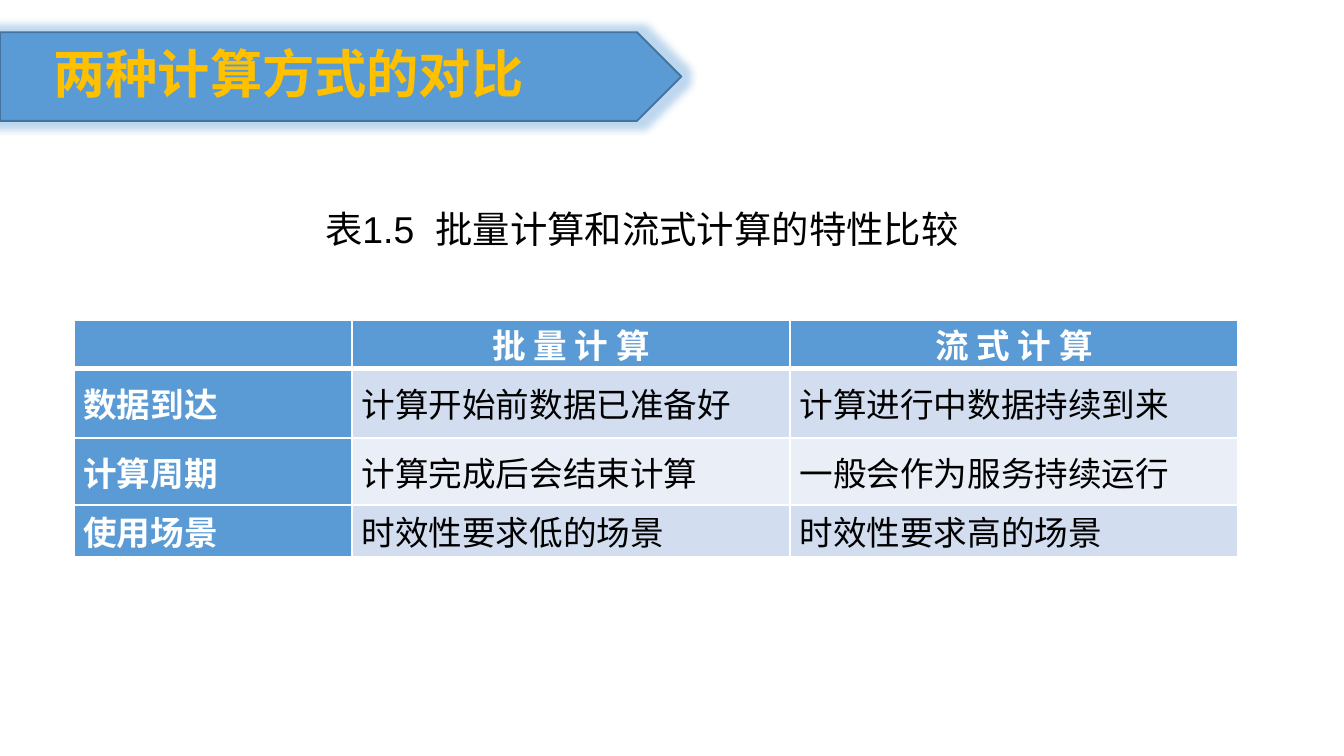
from lxml import etree
from pptx import Presentation
from pptx import util as u
from pptx.dml.color import RGBColor
from pptx.enum import shapes, text
from pptx.oxml import ns

WIDE = 10
HIGH = WIDE * 9 / 16
BLUE, WHITE, BLACK, GOLD = "5B9BD5", "FFFFFF", "000000", "FFC000"
BANDS = ["D2DEEF", "EAEFF7"]
HAN = "Noto Sans CJK SC"

TITLE = "两种计算方式的对比"
CAPTION = "表1.5  批量计算和流式计算的特性比较"
ROWS = [
    ("", "批 量 计 算", "流 式 计 算"),
    ("数据到达", "计算开始前数据已准备好", "计算进行中数据持续到来"),
    ("计算周期", "计算完成后会结束计算", "一般会作为服务持续运行"),
    ("使用场景", "时效性要求低的场景", "时效性要求高的场景"),
]
COLS = [2.07, 3.26, 3.33]
TALL = [0.36, 0.52, 0.5, 0.38]


def rgb(code):
    return RGBColor.from_string(code)


def inches(*sizes):
    return [u.Inches(size) for size in sizes]


def add(parent, tag, **attrs):
    node = etree.SubElement(parent, ns.qn(tag))
    for key, val in attrs.items():
        node.set(key, str(val))
    return node


def style(para, size, face, color, bold=False):
    for run in para.runs:
        font = run.font
        font.size, font.name, font.bold = u.Pt(size), face, bold
        font.color.rgb = rgb(color)
        add(run._r.get_or_add_rPr(), "a:ea", typeface=HAN)


def label(slide, box, words, wrap, anchor, *look):
    frame = slide.shapes.add_textbox(*inches(*box)).text_frame
    frame.text = words
    frame.word_wrap, frame.vertical_anchor = wrap, anchor
    style(frame.paragraphs[0], *look)


def banner(slide):
    """Arrow-shaped title bar with a soft glow."""
    bar = slide.shapes.add_shape(
        shapes.MSO_SHAPE.PENTAGON, *inches(0, 0.24, 5.07, 0.66))
    bar.fill.solid()
    bar.fill.fore_color.rgb = rgb(BLUE)
    bar.line.color.rgb = rgb("43739E")
    bar.line.width = u.Pt(1)
    bar.shadow.inherit = False
    effects = bar._element.spPr.find(ns.qn("a:effectLst"))
    glow = add(effects, "a:glow", rad=u.Pt(8))
    tint = add(glow, "a:srgbClr", val=BLUE)
    add(tint, "a:alpha", val=40000)


def edge(cell, low):
    """White cell borders; low is the width of the bottom one."""
    props = cell._tc.get_or_add_tcPr()
    for side, width in zip("LRTB", (1, 1, 1, low)):
        line = add(props, "a:ln" + side, w=u.Pt(width))
        add(add(line, "a:solidFill"), "a:srgbClr", val=WHITE)


def grid(slide):
    box = inches(0.55, 2.38, sum(COLS), sum(TALL))
    table = slide.shapes.add_table(len(ROWS), len(COLS), *box).table
    for col, width in zip(table.columns, COLS):
        col.width = u.Inches(width)
    for row, height in zip(table.rows, TALL):
        row.height = u.Inches(height)
    for r, row in enumerate(ROWS):
        for c, words in enumerate(row):
            cell = table.cell(r, c)
            head = r == 0 or c == 0
            cell.text = words
            cell.margin_left = cell.margin_right = u.Inches(0.07)
            cell.margin_top = cell.margin_bottom = 0
            cell.vertical_anchor = text.MSO_ANCHOR.MIDDLE
            para = cell.text_frame.paragraphs[0]
            if r == 0:
                para.alignment = text.PP_ALIGN.CENTER
            style(para, 18, "Calibri", WHITE if head else BLACK, head)
            edge(cell, 3 if r == 0 else 1)
            cell.fill.solid()
            cell.fill.fore_color.rgb = rgb(BLUE if head else BANDS[(r - 1) % 2])


def main():
    deck = Presentation()
    deck.slide_width, deck.slide_height = inches(WIDE, HIGH)
    slide = deck.slides.add_slide(deck.slide_layouts[6])
    banner(slide)
    label(slide, (0.3, 0.26, 4.11, 0.57), TITLE, False,
          text.MSO_ANCHOR.TOP, 28, HAN, GOLD, True)
    grid(slide)
    label(slide, (2.32, 1.48, 4.95, 0.44), CAPTION, True,
          text.MSO_ANCHOR.MIDDLE, 20, "Arial", BLACK)
    deck.save("out.pptx")


if __name__ == "__main__":
    main()
